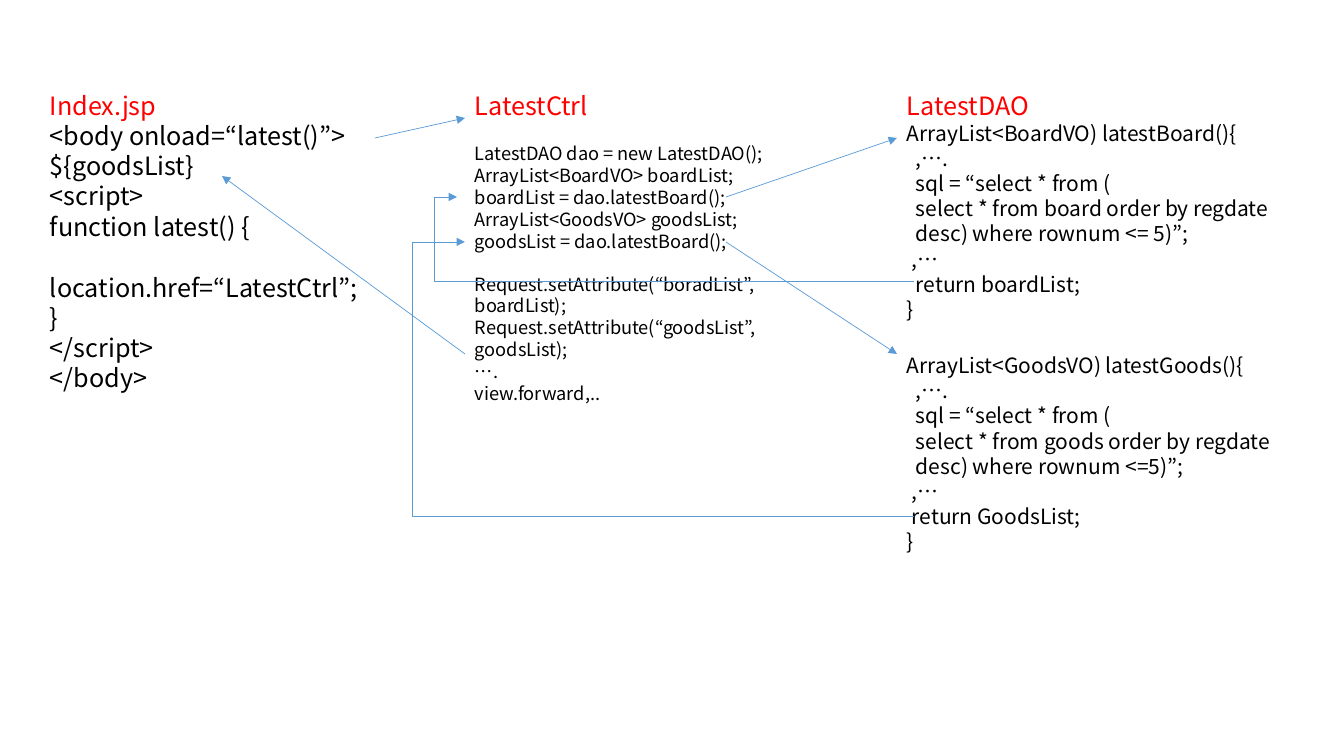
import pptx
import pptx.util
import pptx.dml.color
import pptx.enum.shapes
import pptx.oxml.ns
from lxml import etree

FONT = "Noto Sans CJK KR"
RED, BLACK, BLUE = "FF0000", "000000", "5B9BD5"
KIND = pptx.enum.shapes.MSO_CONNECTOR


def px(n):
    return pptx.util.Emu(round(n * 914400 / 100.8))


def tint(code):
    return pptx.dml.color.RGBColor.from_string(code)


def child(node, tag, **attrs):
    return etree.SubElement(node, pptx.oxml.ns.qn(tag), attrs)


def write(para, text, size=18, color=BLACK, indent=0, gap=0):
    run = para.add_run()
    run.text = text
    run.font.size = pptx.util.Pt(size)
    run.font.name = FONT
    run.font.color.rgb = tint(color)
    child(run.font._element, "a:ea", typeface=FONT)
    para.space_before = pptx.util.Pt(gap)
    if indent:
        para._p.get_or_add_pPr().set("marL", str(px(indent)))


def panel(slide, box, title, rows, size):
    frame = slide.shapes.add_textbox(*map(px, box)).text_frame
    frame.word_wrap = True
    write(frame.paragraphs[0], title, color=RED)
    for text, indent, gap in rows:
        write(frame.add_paragraph(), text, size=size, indent=indent, gap=gap)


def arrow(slide, box, start, end, turn=None):
    left, top = box[:2]
    kind = KIND.STRAIGHT if turn is None else KIND.ELBOW
    link = slide.shapes.add_connector(
        kind, px(left + start[0]), px(top + start[1]),
        px(left + end[0]), px(top + end[1]))
    link.line.color.rgb = tint(BLUE)
    link.line.width = pptx.util.Pt(0.5)
    child(link.line._get_or_add_ln(), "a:tailEnd", type="triangle")
    props = link._element.spPr
    child(props, "a:effectLst")
    if turn is not None:
        ratio = (start[0] - turn) / (start[0] - end[0])
        guides = props.find(pptx.oxml.ns.qn("a:prstGeom")).get_or_add_avLst()
        child(guides, "a:gd", name="adj1", fmla=f"val {round(ratio * 100000)}")


def query(head, table, limit, back, shift, gap):
    return [
        (head, 0, gap),
        (",….", 9, 0),
        ("sql = “select * from (", 9, 0),
        (f"select * from {table} order by regdate", 9, 0),
        (f"desc) where rownum {limit})”;", 9, 0),
        (",…", 5, 0),
        (f"return {back};", shift, 0),
        ("}", 0, 0),
    ]


PAGE = [
    ("<body onload=“latest()”>", 0, 0),
    ("${goodsList}", 0, 0),
    ("<script>", 0, 0),
    ("function latest() {", 0, 0),
    ("location.href=“LatestCtrl”;", 0, 22),
    ("}", 0, 0),
    ("</script>", 0, 0),
    ("</body>", 0, 0),
]
CTRL = [
    ("LatestDAO dao = new LatestDAO();", 0, 16),
    ("ArrayList<BoardVO> boardList;", 0, 0),
    ("boardList = dao.latestBoard();", 0, 0),
    ("ArrayList<GoodsVO> goodsList;", 0, 0),
    ("goodsList = dao.latestBoard();", 0, 0),
    ("Request.setAttribute(“boradList”, boardList);", 0, 15),
    ("Request.setAttribute(“goodsList”, goodsList);", 0, 0),
    ("….", 0, 0),
    ("view.forward,..", 0, 0),
]
DAO = (query("ArrayList<BoardVO) latestBoard(){", "board", "<= 5", "boardList", 9, 0)
       + query("ArrayList<GoodsVO) latestGoods(){", "goods", "<=5", "GoodsList", 5, 22))

PANELS = [
    ((40, 85, 332, 315), "Index.jsp", PAGE, 18),
    ((465, 85, 385, 283), "LatestCtrl", CTRL, 13),
    ((897, 85, 396, 539), "LatestDAO", DAO, 15),
]
ARROWS = [
    ((335, 53), (425, 33), None),
    ((686, 157), (857, 269), None),
    ((686, 112), (857, 53), None),
    ((874, 196), (417, 112), 394),
    ((874, 431), (425, 157), 372),
    ((425, 269), (182, 91), None),
]


def flow(slide, box):
    left, top = box[:2]
    for (x, y, wide, high), title, rows, size in PANELS:
        panel(slide, (left + x - 40, top + y - 85, wide, high), title, rows, size)
    for start, end, turn in ARROWS:
        arrow(slide, box, start, end, turn)


def main():
    deck = pptx.Presentation()
    deck.slide_width, deck.slide_height = px(1344), px(756)
    slide = deck.slides.add_slide(deck.slide_layouts[6])
    flow(slide, (40, 85, 1253, 539))
    deck.save("out.pptx")


if __name__ == "__main__":
    main()
